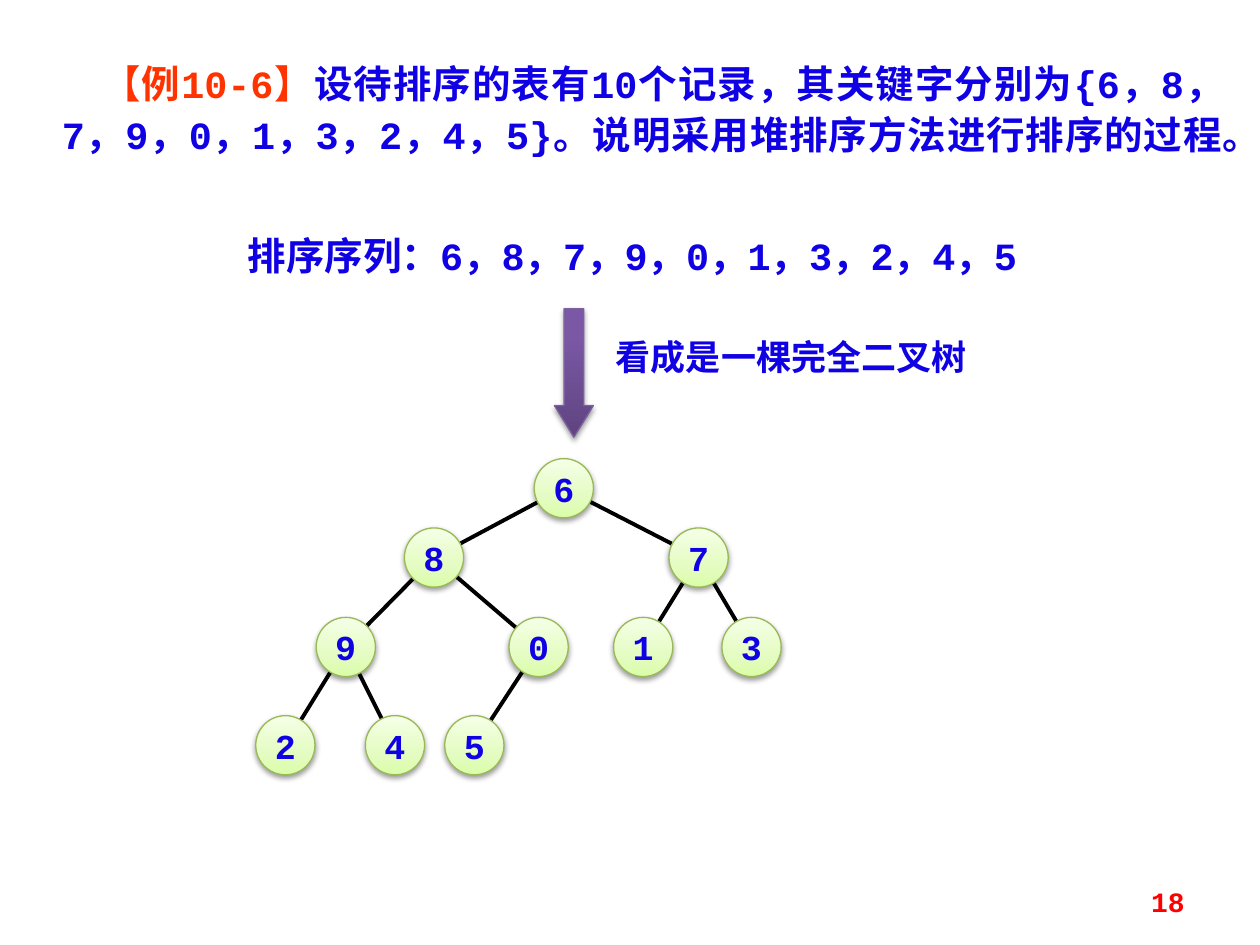
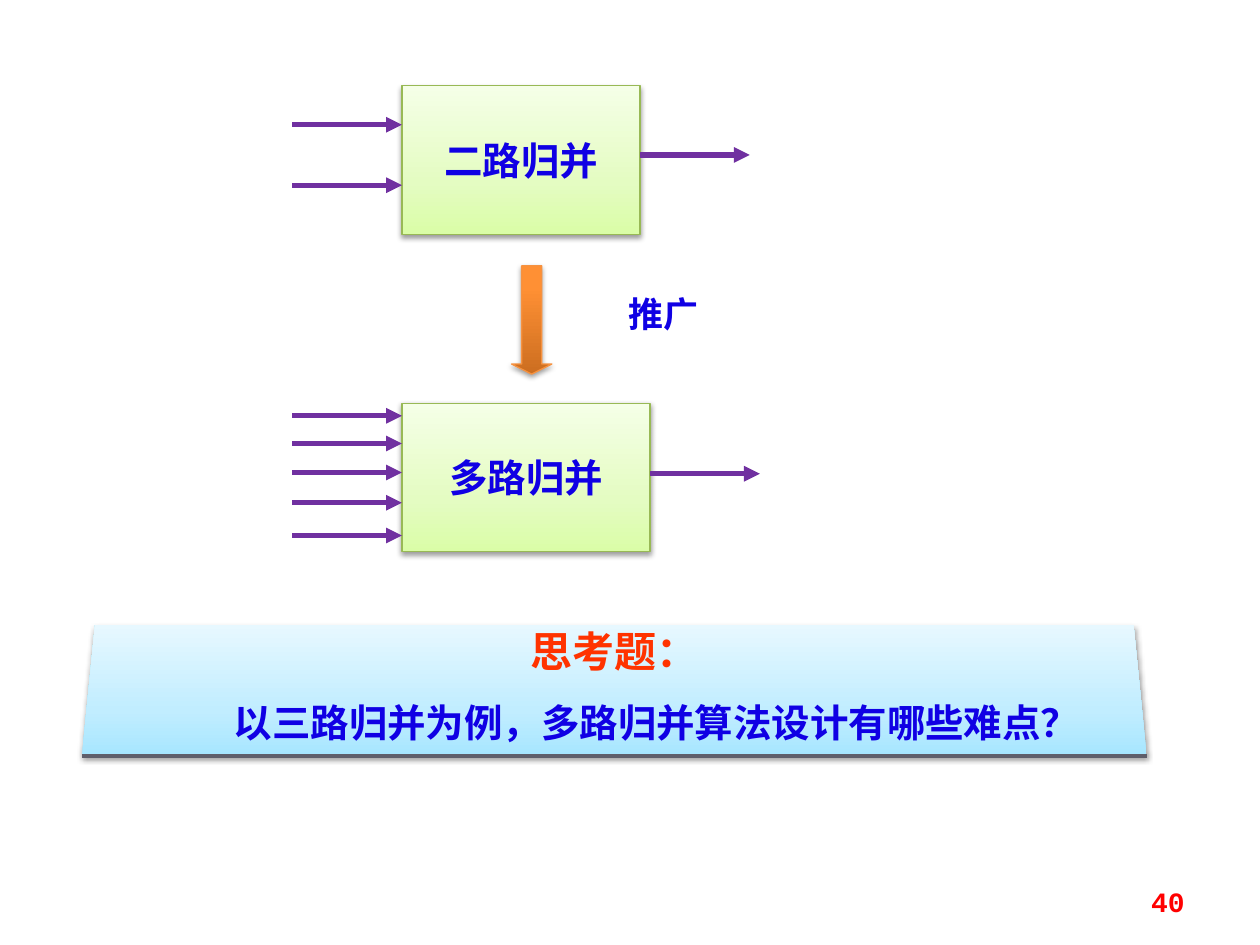
from dataclasses import dataclass
from math import hypot

from lxml import etree
from pptx import Presentation
from pptx import oxml
from pptx import util as u
from pptx.dml import color
from pptx.enum import shapes, text
from pptx.oxml import ns


@dataclass(frozen=True)
class Theme:
    mono: str = "Courier New"
    sans: str = "Noto Sans CJK SC"
    plain: str = "Calibri"
    ink: str = "1000E4"
    accent: str = "FF3300"
    page: str = "FF0000"
    edge: str = "000000"
    flow: str = "7030A0"
    heading_size: int = 24
    body_size: int = 22
    label_size: int = 20
    page_size: int = 16
    green: tuple = ("98B955", ((0, "DAFDA7"), (35, "E4FCC2"), (100, "F5FFE7")))
    purple: tuple = ("7D60A0", ((0, "5F4480"), (80, "7B58A6"), (100, "7C57A8")))
    orange: tuple = ("F69240", ((0, "CC6E20"), (80, "FF9034"), (100, "FF9136")))
    blue: tuple = ("46AAC5", ((0, "A7E6FF"), (35, "C1EDFF"), (100, "E7F8FF")))


THEME = Theme()

EXAMPLE_TAG = "【例10-6】"
EXAMPLE_TEXT = "设待排序的表有10个记录，其关键字分别为{6，8，7，9，0，1，3，2，4，5}。说明采用堆排序方法进行排序的过程。"
SEQUENCE = "排序序列：6，8，7，9，0，1，3，2，4，5"
TREE_LABEL = "看成是一棵完全二叉树"
KEYS = (6, 8, 7, 9, 0, 1, 3, 2, 4, 5)
NODE_LEFTS = (4.24, 3.21, 5.31, 2.51, 4.04, 4.87, 5.73, 2.03, 2.9, 3.53)
LEVEL_TOPS = (3.64, 4.19, 4.9, 5.68)
NODE_SIZE = 0.47

MERGES = (
    {"name": "二路归并", "box": (3.19, 0.68, 1.89, 1.18), "inputs": (0.99, 1.47), "output": 1.23},
    {"name": "多路归并", "box": (3.19, 3.2, 1.97, 1.18),
     "inputs": (3.3, 3.52, 3.75, 3.99, 4.25), "output": 3.76},
)
ARROW_LENGTH = 0.87
EXTEND_LABEL = "推广"
QUESTION_HEADING = "思考题："
QUESTION = "以三路归并为例，多路归并算法设计有哪些难点？"

LEFT, CENTER, RIGHT, JUSTIFY = (
    text.PP_ALIGN.LEFT, text.PP_ALIGN.CENTER, text.PP_ALIGN.RIGHT, text.PP_ALIGN.JUSTIFY)


def inches(values):
    return [u.Inches(value) for value in values]


def add_run(paragraph, words, size, hue=THEME.ink, font=THEME.mono):
    run = paragraph.add_run()
    run.text = words
    run.font.size = u.Pt(size)
    run.font.bold = True
    run.font.name = font
    run.font.color.rgb = color.RGBColor.from_string(hue)
    east_asian = etree.SubElement(run.font._element, ns.qn("a:ea"))
    east_asian.set("typeface", THEME.plain)


def add_label(slide, box, words, size, hue=THEME.ink, font=THEME.mono,
              align=LEFT, anchor=text.MSO_ANCHOR.TOP):
    frame = slide.shapes.add_textbox(*inches(box)).text_frame
    frame.word_wrap = True
    frame.vertical_anchor = anchor
    paragraph = frame.paragraphs[0]
    paragraph.alignment = align
    add_run(paragraph, words, size, hue, font)


def add_gradient_shape(slide, kind, box, palette, adjustments=()):
    shape = slide.shapes.add_shape(kind, *inches(box))
    for index, value in enumerate(adjustments):
        shape.adjustments[index] = value
    outline, stops = palette
    shape.line.color.rgb = color.RGBColor.from_string(outline)
    shape.line.width = u.Pt(0.75)
    shape.fill.background()
    properties = shape._element.spPr
    stop_xml = "".join(
        f'<a:gs pos="{position * 1000}"><a:srgbClr val="{hue}"/></a:gs>'
        for position, hue in stops)
    gradient = oxml.parse_xml(
        f'<a:gradFill {ns.nsdecls("a")} rotWithShape="1"><a:gsLst>{stop_xml}</a:gsLst>'
        '<a:lin ang="16200000" scaled="0"/></a:gradFill>')
    properties.replace(properties.find(ns.qn("a:noFill")), gradient)
    properties.append(oxml.parse_xml(
        f'<a:effectLst {ns.nsdecls("a")}><a:outerShdw blurRad="{u.Pt(3.1)}" dist="{u.Pt(1.6)}" '
        'dir="5400000" rotWithShape="0"><a:srgbClr val="000000"><a:alpha val="38000"/>'
        '</a:srgbClr></a:outerShdw></a:effectLst>'))
    return shape


def add_box(slide, kind, box, words, size, font):
    shape = add_gradient_shape(slide, kind, box, THEME.green)
    frame = shape.text_frame
    frame.word_wrap = False
    frame.vertical_anchor = text.MSO_ANCHOR.MIDDLE
    paragraph = frame.paragraphs[0]
    paragraph.alignment = CENTER
    add_run(paragraph, words, size, font=font)


def add_line(slide, start, end, hue, width, arrow=False):
    line = slide.shapes.add_connector(
        shapes.MSO_CONNECTOR.STRAIGHT, *inches(start + end))
    line.line.color.rgb = color.RGBColor.from_string(hue)
    line.line.width = u.Pt(width)
    if arrow:
        tail = etree.SubElement(line.line._get_or_add_ln(), ns.qn("a:tailEnd"))
        tail.set("type", "triangle")
    etree.SubElement(line._element.spPr, ns.qn("a:effectLst"))


def add_page_number(slide, number):
    add_label(slide, (7.17, 6.95, 2.33, 0.4), str(number), THEME.page_size, THEME.page,
              align=RIGHT, anchor=text.MSO_ANCHOR.MIDDLE)


def add_tree(slide):
    radius = NODE_SIZE / 2
    corners = [(left, LEVEL_TOPS[(index + 1).bit_length() - 1])
               for index, left in enumerate(NODE_LEFTS)]
    centers = [(left + radius, top + radius) for left, top in corners]
    for index in range(1, len(KEYS)):
        (x1, y1), (x2, y2) = centers[(index - 1) // 2], centers[index]
        ratio = radius / hypot(x2 - x1, y2 - y1)
        dx, dy = (x2 - x1) * ratio, (y2 - y1) * ratio
        add_line(slide, (x1 + dx, y1 + dy), (x2 - dx, y2 - dy), THEME.edge, 2.25)
    for key, corner in zip(KEYS, corners):
        add_box(slide, shapes.MSO_SHAPE.OVAL, corner + (NODE_SIZE, NODE_SIZE),
                str(key), THEME.label_size, THEME.mono)


def build_heap_slide(presentation):
    slide = presentation.slides.add_slide(presentation.slide_layouts[5])
    title = slide.shapes.title
    title.left, title.top, title.width, title.height = inches((0.39, 0.39, 9.42, 1.35))
    frame = title.text_frame
    frame.auto_size = text.MSO_AUTO_SIZE.NONE
    frame.vertical_anchor = text.MSO_ANCHOR.TOP
    paragraph = frame.paragraphs[0]
    paragraph.alignment = JUSTIFY
    paragraph.line_spacing = 1.1
    paragraph._p.get_or_add_pPr().set("indent", str(u.Inches(0.32)))
    add_run(paragraph, EXAMPLE_TAG, THEME.body_size, THEME.accent)
    add_run(paragraph, EXAMPLE_TEXT, THEME.body_size)
    add_label(slide, (1.87, 1.79, 6.56, 0.47), SEQUENCE, THEME.body_size)
    add_tree(slide)
    add_gradient_shape(slide, shapes.MSO_SHAPE.DOWN_ARROW, (4.4, 2.45, 0.31, 1.02),
                       THEME.purple, (0.5, 0.81))
    add_label(slide, (4.79, 2.61, 3.94, 0.44), TREE_LABEL, THEME.label_size)
    add_page_number(slide, 18)


def add_merge(slide, merge):
    left, _, width, _ = merge["box"]
    add_box(slide, shapes.MSO_SHAPE.RECTANGLE, merge["box"], merge["name"],
            THEME.body_size, THEME.sans)
    arrows = [(left - ARROW_LENGTH, y) for y in merge["inputs"]]
    arrows.append((left + width, merge["output"]))
    for x, y in arrows:
        add_line(slide, (x, y), (x + ARROW_LENGTH, y), THEME.flow, 3, arrow=True)


def add_question(slide):
    left, top, width, height = 0.65, 4.96, 8.45, 1.04
    band = add_gradient_shape(slide, shapes.MSO_SHAPE.TRAPEZOID,
                              (left, top, width, height), THEME.blue, (0.1,))
    band.line.fill.background()
    frame = band.text_frame
    frame.word_wrap = True
    frame.vertical_anchor = text.MSO_ANCHOR.TOP
    frame.margin_top = 0
    heading = frame.paragraphs[0]
    heading.alignment = CENTER
    add_run(heading, QUESTION_HEADING, THEME.heading_size, THEME.accent, THEME.plain)
    question = frame.add_paragraph()
    question.alignment = CENTER
    question.space_before = u.Pt(13)
    question._p.get_or_add_pPr().set("marL", str(u.Inches(0.67)))
    add_run(question, QUESTION, THEME.body_size, font=THEME.sans)
    bottom = top + height
    add_line(slide, (left, bottom), (left + width, bottom), "5F5F6B", 2)


def build_merge_slide(presentation):
    slide = presentation.slides.add_slide(presentation.slide_layouts[6])
    for merge in MERGES:
        add_merge(slide, merge)
    add_gradient_shape(slide, shapes.MSO_SHAPE.DOWN_ARROW, (4.06, 2.11, 0.32, 0.86),
                       THEME.orange, (0.5, 0.25))
    add_question(slide)
    add_label(slide, (4.53, 2.27, 1.48, 0.44), EXTEND_LABEL, THEME.label_size,
              font=THEME.sans, align=CENTER)
    add_page_number(slide, 40)


def main():
    presentation = Presentation()
    presentation.slide_width = u.Inches(10)
    presentation.slide_height = u.Inches(7.5)
    build_heap_slide(presentation)
    build_merge_slide(presentation)
    presentation.save("out.pptx")


if __name__ == "__main__":
    main()
